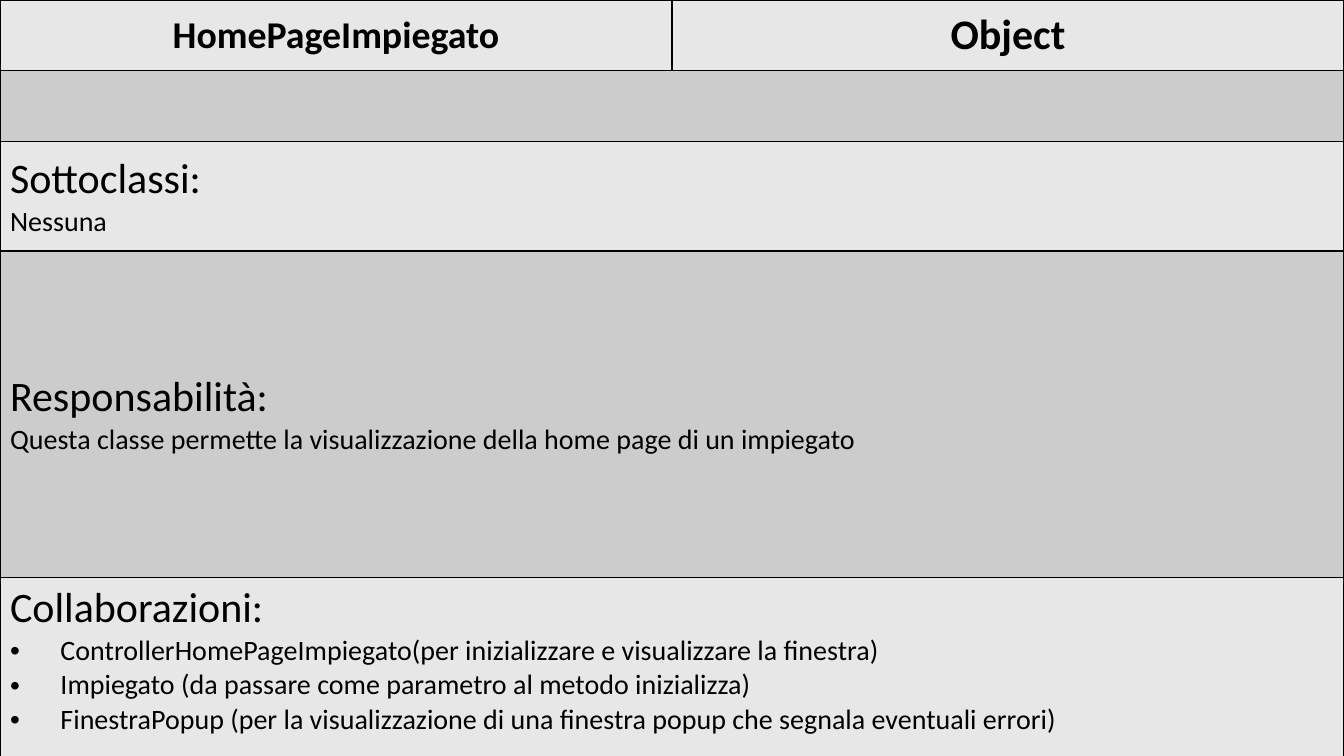
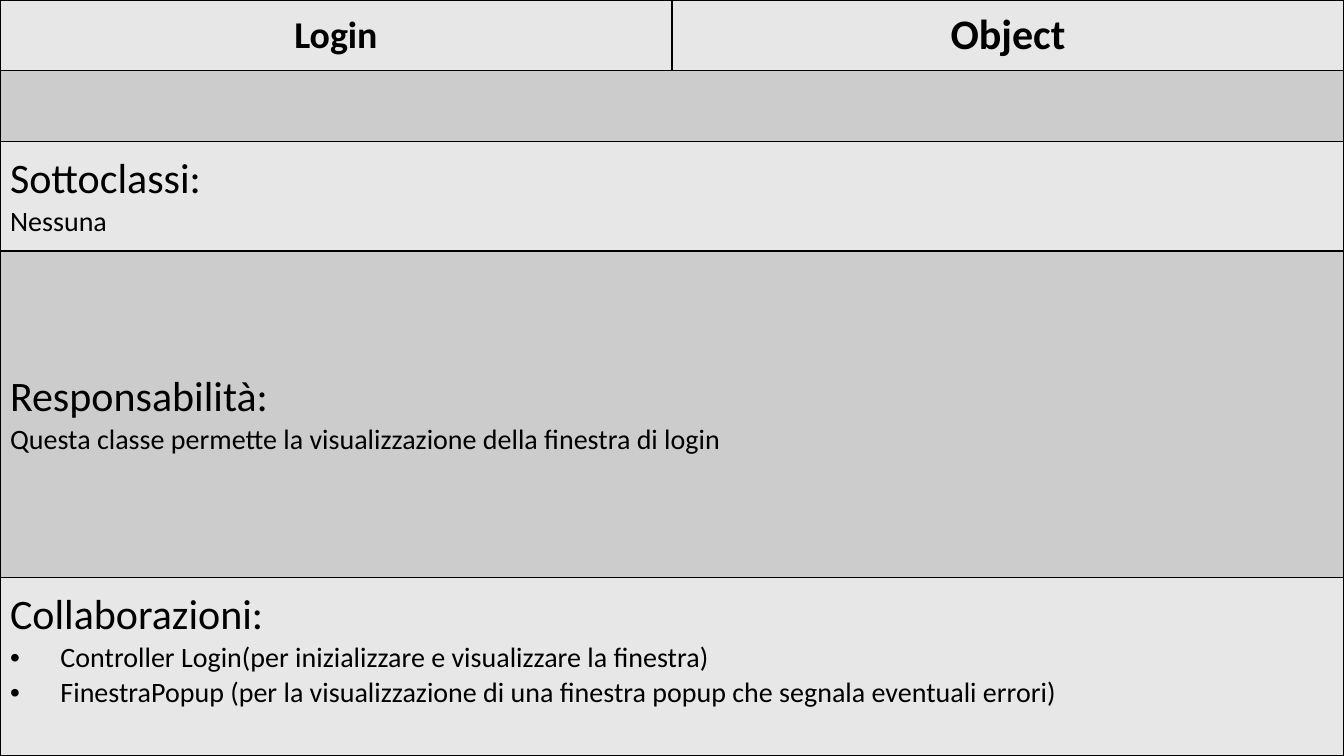
from dataclasses import dataclass

from lxml.etree import SubElement
from pptx import Presentation
from pptx.dml.color import RGBColor
from pptx.enum.text import MSO_VERTICAL_ANCHOR as Anchor, PP_PARAGRAPH_ALIGNMENT as Align
from pptx.oxml.ns import qn
from pptx.slide import Slide
from pptx.table import Table, _Cell as Cell
from pptx.util import Pt

BLACK = RGBColor(0x00, 0x00, 0x00)
LIGHT = RGBColor(0xE7, 0xE7, 0xE7)
DARK = RGBColor(0xCC, 0xCC, 0xCC)

PAGE_WIDTH, PAGE_HEIGHT = Pt(960), Pt(540)
ROW_HEIGHTS = (50.4, 50.4, 78.5, 233.3, 127.4)
LIST_INDENT = Pt(36)
LIST_BOTTOM = Pt(28)

BASE = {"name": "Calibri", "bold": False}
CLASS_NAME = BASE | {"size": Pt(27), "bold": True}
PARENT_NAME = CLASS_NAME | {"size": Pt(30)}
HEADING = BASE | {"size": Pt(30)}
BODY = BASE | {"size": Pt(20)}


@dataclass(frozen=True)
class Line:
    text: str
    style: dict
    align: Align = Align.LEFT
    bullet: bool = False


@dataclass(frozen=True)
class ClassCard:
    name: str
    duty: str
    partners: tuple[str, ...]


POPUP = "FinestraPopup (per la visualizzazione di una finestra popup che segnala eventuali errori)"
CARDS = (
    ClassCard(
        "HomePageImpiegato",
        "Questa classe permette la visualizzazione della home page di un impiegato",
        (
            "ControllerHomePageImpiegato(per inizializzare e visualizzare la finestra)",
            "Impiegato (da passare come parametro al metodo inizializza)",
            POPUP,
        ),
    ),
    ClassCard(
        "Login",
        "Questa classe permette la visualizzazione della finestra di login",
        ("Controller Login(per inizializzare e visualizzare la finestra)", POPUP),
    ),
)


def set_borders(cell: Cell, hidden: str = "") -> None:
    properties = cell._tc.get_or_add_tcPr()
    for side in "LRTB":
        border = SubElement(properties, qn(f"a:ln{side}"), w=str(Pt(1)))
        if side == hidden:
            SubElement(border, qn("a:noFill"))
        else:
            fill = SubElement(border, qn("a:solidFill"))
            SubElement(fill, qn("a:srgbClr"), val=str(BLACK))


def write_lines(cell: Cell, lines: list[Line]) -> None:
    cell.vertical_anchor = Anchor.MIDDLE
    frame = cell.text_frame
    for index, line in enumerate(lines):
        para = frame.add_paragraph() if index else frame.paragraphs[0]
        para.alignment = line.align
        if line.bullet:
            properties = para._p.get_or_add_pPr()
            properties.set("marL", str(LIST_INDENT))
            properties.set("indent", str(-LIST_INDENT))
            SubElement(properties, qn("a:buFont"), typeface="Arial")
            SubElement(properties, qn("a:buChar"), char="•")
        span = para.add_run()
        span.text = line.text
        for name, value in line.style.items():
            setattr(span.font, name, value)
        span.font.color.rgb = BLACK


def style_grid(table: Table) -> None:
    table.first_row = table.horz_banding = False
    for index, height in enumerate(ROW_HEIGHTS):
        table.rows[index].height = Pt(height)
        for column in range(2):
            cell = table.cell(index, column)
            set_borders(cell, "RL"[column] if index == 1 else "")
            cell.fill.solid()
            cell.fill.fore_color.rgb = DARK if index % 2 else LIGHT
        if index > 1:
            table.cell(index, 0).merge(table.cell(index, 1))


def draw_card(page: Slide, card: ClassCard) -> None:
    table = page.shapes.add_table(len(ROW_HEIGHTS), 2, 0, 0, PAGE_WIDTH, PAGE_HEIGHT).table
    style_grid(table)
    partners = [Line(text, BODY, bullet=True) for text in card.partners]
    contents = {
        (0, 0): [Line(card.name, CLASS_NAME, Align.CENTER)],
        (0, 1): [Line("Object", PARENT_NAME, Align.CENTER)],
        (2, 0): [Line("Sottoclassi:", HEADING), Line("Nessuna", BODY)],
        (3, 0): [
            Line("Responsabilità:", HEADING, Align.JUSTIFY),
            Line(card.duty, BODY, Align.JUSTIFY),
        ],
        (4, 0): [Line("Collaborazioni:", HEADING), *partners],
    }
    for (row, column), lines in contents.items():
        write_lines(table.cell(row, column), lines)
    table.cell(4, 0).margin_bottom = LIST_BOTTOM


def main() -> None:
    deck = Presentation()
    deck.slide_width, deck.slide_height = PAGE_WIDTH, PAGE_HEIGHT
    blank = deck.slide_layouts.get_by_name("Blank")
    for card in CARDS:
        draw_card(deck.slides.add_slide(blank), card)
    deck.save("out.pptx")


if __name__ == "__main__":
    main()
